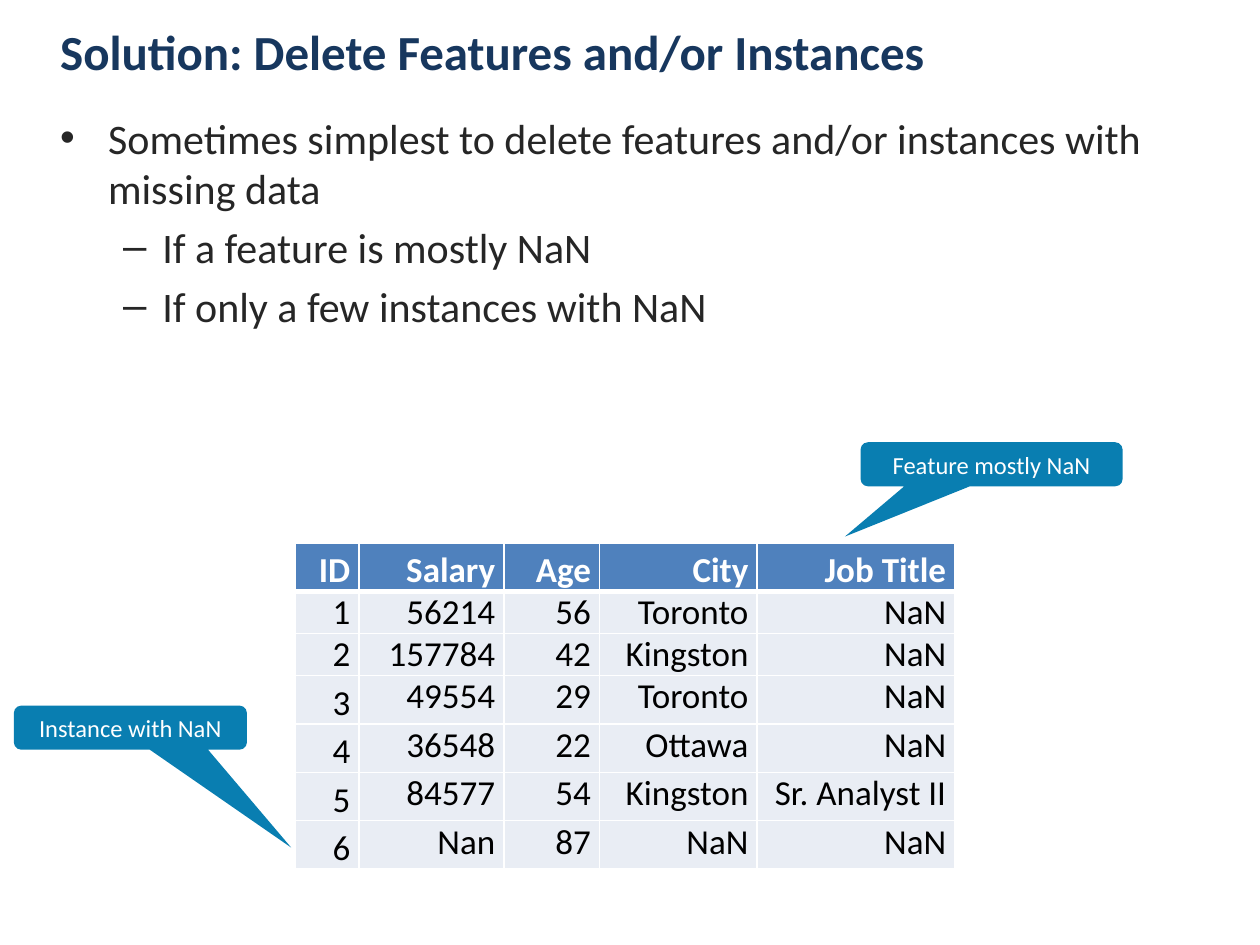
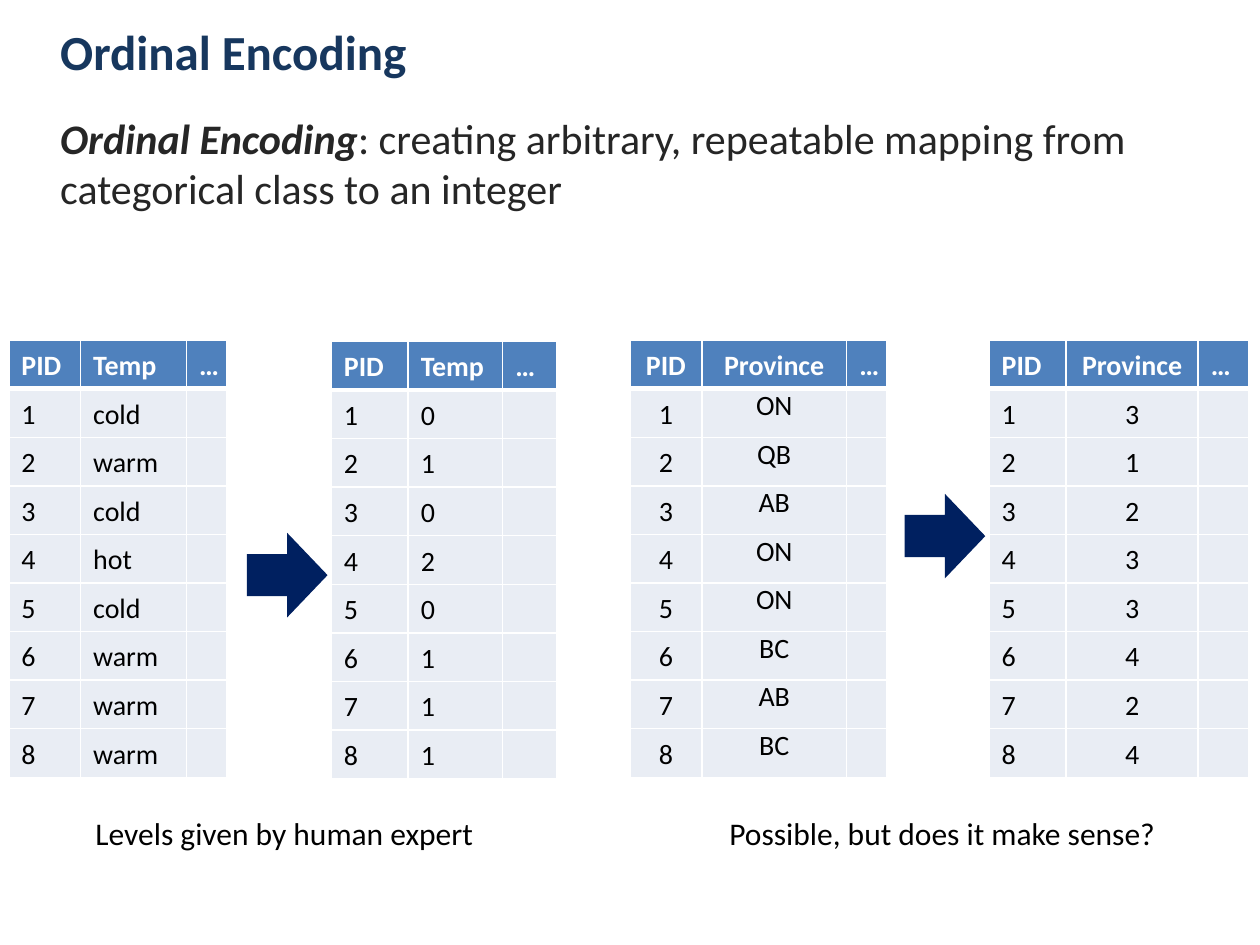
from dataclasses import dataclass

from lxml.etree import SubElement
from pptx import Presentation
from pptx.dml.color import RGBColor
from pptx.enum.shapes import MSO_SHAPE as Shape
from pptx.enum.text import MSO_ANCHOR as Anchor, PP_ALIGN as Align
from pptx.oxml import parse_xml
from pptx.oxml.ns import nsdecls, qn
from pptx.slide import Slide
from pptx.table import _Cell as Cell
from pptx.text.text import TextFrame, _Paragraph as Paragraph, _Run as Run
from pptx.util import Inches, Pt


@dataclass(frozen=True)
class Theme:
    font: str = "Calibri"
    title: str = "17375E"
    body: str = "262626"
    header: str = "4F81BD"
    cell: str = "E9EDF4"
    callout: str = "097EB1"
    arrow: str = "002060"
    white: str = "FFFFFF"
    black: str = "000000"
    title_size: int = 28
    body_size: int = 24
    wide_table_size: int = 20
    caption_size: int = 18
    small_table_size: int = 16
    callout_size: int = 14


THEME = Theme()


@dataclass(frozen=True)
class CellStyle:
    anchor: Anchor = Anchor.TOP
    spacing: float = 1.0
    after: float = 0
    inset_x: float = 0.1
    inset_y: float = 0.05


TIGHT = CellStyle(inset_x=0.07, inset_y=0)
TIGHT_ID = CellStyle(Anchor.MIDDLE, 1.0, inset_x=0.07, inset_y=0)
TIGHT_LOOSE_ID = CellStyle(Anchor.MIDDLE, 1.15, inset_x=0.07, inset_y=0)
ROOMY = CellStyle(spacing=1.07, after=8)
ROOMY_MIDDLE = CellStyle(Anchor.MIDDLE, 1.07, 8)


@dataclass(frozen=True)
class Column:
    heading: str
    width: float
    values: list[str]
    styles: list[CellStyle]
    align: Align = Align.LEFT


@dataclass(frozen=True)
class Grid:
    left: float
    top: float
    height: float
    columns: list[Column]
    header_style: CellStyle
    size: int


@dataclass(frozen=True)
class Callout:
    text: str
    left: float
    top: float
    width: float
    tip: tuple[float, float]


@dataclass(frozen=True)
class Bullet:
    text: str
    char: str
    indent: float
    hanging: float
    level: int = 0


def rgb(color: str) -> RGBColor:
    return RGBColor.from_string(color)


def style_run(run: Run, size: int, color: str, bold: bool = False, italic: bool = False) -> None:
    font = run.font
    font.name, font.size, font.bold, font.italic = THEME.font, Pt(size), bold, italic
    font.color.rgb = rgb(color)


def add_text_frame(slide: Slide, left: float, top: float, width: float, height: float) -> TextFrame:
    box = slide.shapes.add_textbox(Inches(left), Inches(top), Inches(width), Inches(height))
    box.text_frame.word_wrap = True
    return box.text_frame


def add_title(slide: Slide, text: str) -> None:
    frame = add_text_frame(slide, 0.38, 0.05, 8.2, 0.71)
    frame.vertical_anchor = Anchor.MIDDLE
    frame.text = text
    style_run(frame.paragraphs[0].runs[0], THEME.title_size, THEME.title, bold=True)


def add_body(slide: Slide, height: float) -> TextFrame:
    return add_text_frame(slide, 0.38, 0.84, 9.24, height)


def set_bullet(paragraph: Paragraph, bullet: Bullet) -> None:
    properties = paragraph._p.get_or_add_pPr()
    properties.set("marL", str(Inches(bullet.indent)))
    properties.set("indent", str(-Inches(bullet.hanging)))
    SubElement(properties, qn("a:buFont"), typeface="Arial")
    SubElement(properties, qn("a:buChar"), char=bullet.char)


def add_bullets(frame: TextFrame, bullets: list[Bullet]) -> None:
    for index, bullet in enumerate(bullets):
        paragraph = frame.add_paragraph() if index else frame.paragraphs[0]
        paragraph.text = bullet.text
        paragraph.level = bullet.level
        set_bullet(paragraph, bullet)
        if index:
            paragraph.space_before = Pt(0.2 * THEME.body_size)
        style_run(paragraph.runs[0], THEME.body_size, THEME.body)


def set_borders(cell: Cell, top: float, bottom: float) -> None:
    properties = cell._tc.get_or_add_tcPr()
    widths = {"lnL": 1, "lnR": 1, "lnT": top, "lnB": bottom}
    for position, (side, width) in enumerate(widths.items()):
        properties.insert(position, parse_xml(
            f'<a:{side} {nsdecls("a")} w="{Pt(width)}"><a:solidFill>'
            f'<a:srgbClr val="{THEME.white}"/></a:solidFill></a:{side}>'))


def fill_cell(cell: Cell, text: str, style: CellStyle, align: Align, size: int, row: int) -> None:
    is_header = row == 0
    cell.fill.solid()
    cell.fill.fore_color.rgb = rgb(THEME.header if is_header else THEME.cell)
    set_borders(cell, top=3 if row == 1 else 1, bottom=3 if is_header else 1)
    cell.vertical_anchor = style.anchor
    cell.margin_left = cell.margin_right = Inches(style.inset_x)
    cell.margin_top = cell.margin_bottom = Inches(style.inset_y)
    paragraph = cell.text_frame.paragraphs[0]
    if not text:
        SubElement(paragraph._p, qn("a:endParaRPr"), sz=str(size * 100))
        return
    paragraph.text = text
    paragraph.alignment = align
    paragraph.line_spacing = style.spacing
    paragraph.space_after = Pt(style.after)
    style_run(paragraph.runs[0], size, THEME.white if is_header else THEME.black, bold=is_header)


def add_grid(slide: Slide, grid: Grid) -> None:
    row_count = len(grid.columns[0].values) + 1
    width = sum(column.width for column in grid.columns)
    frame = slide.shapes.add_table(row_count, len(grid.columns), Inches(grid.left), Inches(grid.top),
                                   Inches(width), Inches(grid.height))
    table = frame.table
    table.first_row = table.horz_banding = False
    for row in table.rows:
        row.height = Inches(0.3)
    frame.height = Inches(grid.height)
    for index, column in enumerate(grid.columns):
        table.columns[index].width = Inches(column.width)
        texts = [column.heading, *column.values]
        styles = [grid.header_style, *column.styles]
        for row, (text, style) in enumerate(zip(texts, styles)):
            fill_cell(table.cell(row, index), text, style, column.align, grid.size, row)


def add_filled_shape(slide: Slide, kind: Shape, left: float, top: float, width: float,
                     height: float, color: str):
    shape = slide.shapes.add_shape(kind, Inches(left), Inches(top), Inches(width), Inches(height))
    shape.shadow.inherit = False
    shape.fill.solid()
    shape.fill.fore_color.rgb = rgb(color)
    shape.line.fill.background()
    return shape


def add_callout(slide: Slide, callout: Callout) -> None:
    bubble = add_filled_shape(slide, Shape.ROUNDED_RECTANGULAR_CALLOUT, callout.left, callout.top,
                              callout.width, 0.35, THEME.callout)
    bubble.adjustments[0], bubble.adjustments[1] = callout.tip
    frame = bubble.text_frame
    frame.text = callout.text
    frame.vertical_anchor = Anchor.MIDDLE
    frame.paragraphs[0].alignment = Align.CENTER
    style_run(frame.paragraphs[0].runs[0], THEME.callout_size, THEME.white)


def add_caption(slide: Slide, text: str, left: float, width: float) -> None:
    frame = add_text_frame(slide, left, 6.41, width, 0.4)
    frame.word_wrap = False
    frame.text = text
    style_run(frame.paragraphs[0].runs[0], THEME.caption_size, THEME.black)


def build_deletion_slide(slide: Slide) -> None:
    add_bullets(add_body(slide, 1.82), [
        Bullet("Sometimes simplest to delete features and/or instances with missing data", "•", 0.38, 0.38),
        Bullet("If a feature is mostly NaN", "–", 0.81, 0.31, 1),
        Bullet("If only a few instances with NaN", "–", 0.81, 0.31, 1),
    ])
    add_title(slide, "Solution: Delete Features and/or Instances")

    features = [
        ("Salary", 1.15, "56214 157784 49554 36548 84577 Nan".split()),
        ("Age", 0.76, "56 42 29 22 54 87".split()),
        ("City", 1.25, "Toronto Kingston Toronto Ottawa Kingston NaN".split()),
        ("Job Title", 1.57, ["NaN"] * 4 + ["Sr. Analyst II", "NaN"]),
    ]
    ids = Column("ID", 0.51, list("123456"), [TIGHT_ID] * 2 + [TIGHT_LOOSE_ID] * 4, Align.RIGHT)
    columns = [ids] + [Column(heading, width, values, [TIGHT] * 6, Align.RIGHT)
                       for heading, width, values in features]
    add_grid(slide, Grid(2.34, 4.31, 2.47, columns, TIGHT_LOOSE_ID, THEME.wide_table_size))
    for callout in (Callout("Feature mostly NaN", 6.83, 3.51, 2.08, (-0.56, 1.64)),
                    Callout("Instance with NaN", 0.11, 5.6, 1.85, (0.69, 2.72))):
        add_callout(slide, callout)


def encoding_grid(left: float, top: float, height: float, widths: tuple[float, float, float],
                  heading: str, values: list[str], value_style: CellStyle = ROOMY,
                  pid_align: Align = Align.LEFT, value_align: Align = Align.LEFT) -> Grid:
    """Table of eight numbered rows, one encoded feature and a column for the rest."""
    pid_width, value_width, rest_width = widths
    columns = [
        Column("PID", pid_width, list("12345678"), [ROOMY_MIDDLE] * 8, pid_align),
        Column(heading, value_width, values, [value_style] * 8, value_align),
        Column("…", rest_width, [""] * 8, [ROOMY] * 8, pid_align),
    ]
    return Grid(left, top, height, columns, ROOMY_MIDDLE, THEME.small_table_size)


def build_encoding_slide(slide: Slide) -> None:
    definition = add_body(slide, 1.42).paragraphs[0]
    for text, is_term in (
            ("Ordinal Encoding", True),
            (": creating arbitrary, repeatable mapping from categorical class to an integer", False)):
        run = definition.add_run()
        run.text = text
        style_run(run, THEME.body_size, THEME.body, bold=is_term, italic=is_term)
    add_title(slide, "Ordinal Encoding")

    center = Align.CENTER
    for grid in (
            encoding_grid(5, 2.7, 3.35, (0.57, 1.15, 0.32), "Province",
                          "ON QB AB ON ON BC AB BC".split(), TIGHT, center, center),
            encoding_grid(7.85, 2.7, 3.35, (0.61, 1.05, 0.4), "Province",
                          list("31233424"), value_align=center),
            encoding_grid(0.07, 2.7, 3.38, (0.57, 0.84, 0.32), "Temp",
                          "cold warm cold hot cold warm warm warm".split()),
            encoding_grid(2.63, 2.71, 3.35, (0.61, 0.75, 0.43), "Temp", list("01020111"))):
        add_grid(slide, grid)
    for left, top in ((7.18, 3.92), (1.96, 4.23)):
        add_filled_shape(slide, Shape.RIGHT_ARROW, left, top, 0.64, 0.67, THEME.arrow)
    add_caption(slide, "Possible, but does it make sense?", 5.69, 3.62)
    add_caption(slide, "Levels given by human expert", 0.66, 3.24)


def main() -> None:
    deck = Presentation()
    deck.slide_width, deck.slide_height = Inches(10), Inches(7.5)
    for build in (build_deletion_slide, build_encoding_slide):
        build(deck.slides.add_slide(deck.slide_layouts[6]))
    deck.save("out.pptx")


if __name__ == "__main__":
    main()
